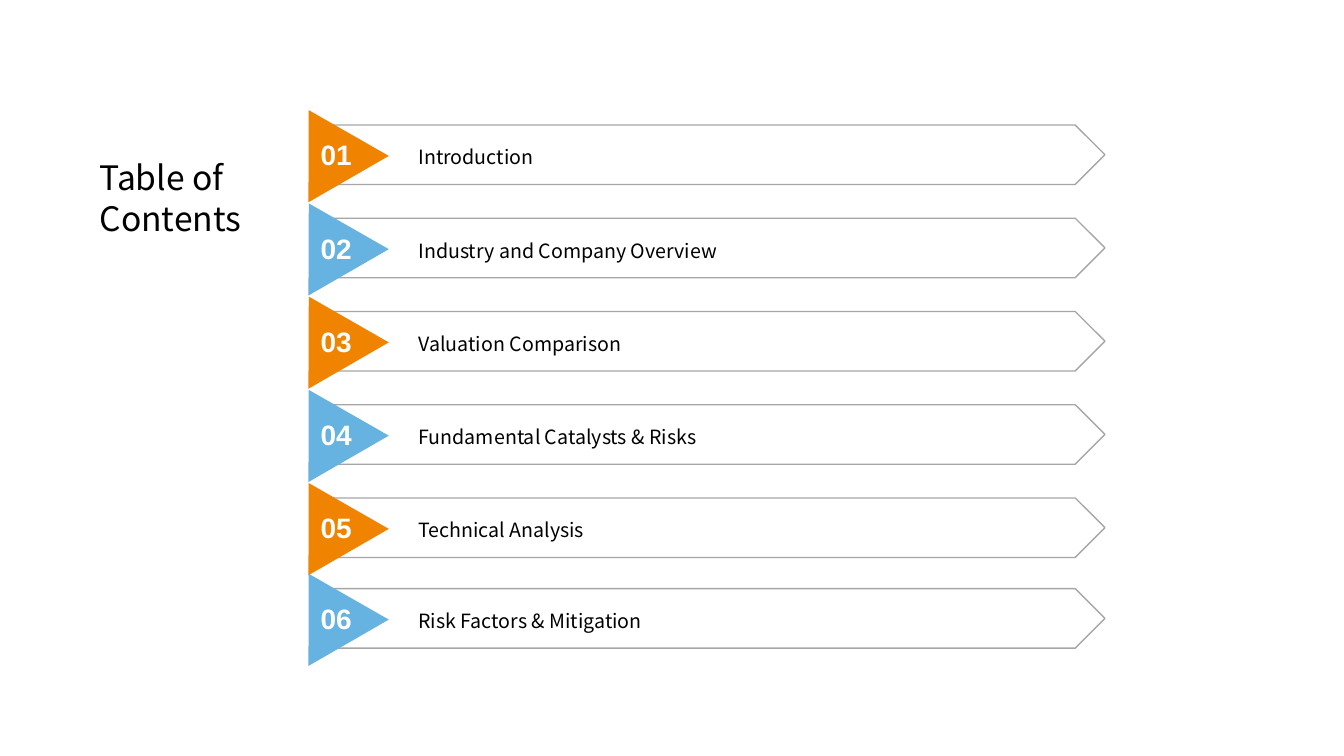
from pptx import Presentation
from pptx.dml.color import RGBColor
from pptx.enum.shapes import MSO_SHAPE as SHAPE
from pptx.enum.text import MSO_ANCHOR as ANCHOR, PP_ALIGN as ALIGN
from pptx.util import Inches, Pt

COLORS = {"orange": "F08300", "blue": "66B3E1", "outline": "A6A6A6",
          "text": "000000", "number": "FFFFFF"}
BODY_FONT = "Noto Sans CJK SC"
NUMBER_FONT = "Arial"
ENTRIES = ["Introduction", "Industry and Company Overview", "Valuation Comparison",
           "Fundamental Catalysts & Risks", "Technical Analysis",
           "Risk Factors & Mitigation"]
ROW_STEP = 0.925
LAST_OFFSET = 4.6  # the last row sits slightly closer


def rgb(name):
    return RGBColor.from_string(COLORS[name])


def write(sp, text, size, color, font, bold=False, align=ALIGN.LEFT):
    tf = sp.text_frame
    tf.word_wrap = True
    p = tf.paragraphs[0]
    p.text = text
    p.alignment = align
    p.font.size = Pt(size)
    p.font.name = font
    p.font.bold = bold
    p.font.color.rgb = rgb(color)
    return tf


def add_title(s, x, y, w, h):
    sp = s.shapes.add_textbox(Inches(x), Inches(y), Inches(w), Inches(h))
    write(sp, "Table of Contents", 24, "text", BODY_FONT)


def add_entry(s, x, y, w, h, number, label):
    # Outlined bar with the section name
    bar = s.shapes.add_shape(SHAPE.PENTAGON, Inches(x), Inches(y), Inches(w), Inches(h))
    bar.shadow.inherit = False
    bar.fill.background()
    bar.line.color.rgb = rgb("outline")
    bar.line.width = Pt(1)
    tf = write(bar, label, 14, "text", BODY_FONT)
    tf.vertical_anchor = ANCHOR.MIDDLE
    tf.margin_left = Inches(0.89)
    tf.paragraphs[0].line_spacing = 1.2

    # Marker pointing right
    marker = s.shapes.add_shape(SHAPE.ISOSCELES_TRIANGLE, Inches(x - 0.46),
                                Inches(y - 0.2), Inches(0.92), Inches(0.79))
    marker.rotation = 330
    marker.shadow.inherit = False
    marker.fill.solid()
    marker.fill.fore_color.rgb = rgb("orange" if number % 2 else "blue")
    marker.line.fill.background()

    # Section number
    sp = s.shapes.add_textbox(Inches(x - 0.18), Inches(y + 0.06), Inches(0.51), Inches(0.47))
    tf = write(sp, f"{number:02d}", 20, "number", NUMBER_FONT, True, ALIGN.CENTER)
    tf.vertical_anchor = ANCHOR.MIDDLE


def add_contents(s, x, y, w, row_h):
    for i, label in enumerate(ENTRIES):
        offset = min(i * ROW_STEP, LAST_OFFSET)
        add_entry(s, x, y + offset, w, row_h, i + 1, label)


def main():
    prs = Presentation()
    prs.slide_width = Inches(13.33)
    prs.slide_height = Inches(7.5)
    s = prs.slides.add_slide(prs.slide_layouts[6])
    add_title(s, 0.89, 1.51, 2.24, 0.4)
    add_contents(s, 3.26, 1.24, 7.7, 0.59)
    prs.save("out.pptx")


if __name__ == "__main__":
    main()
